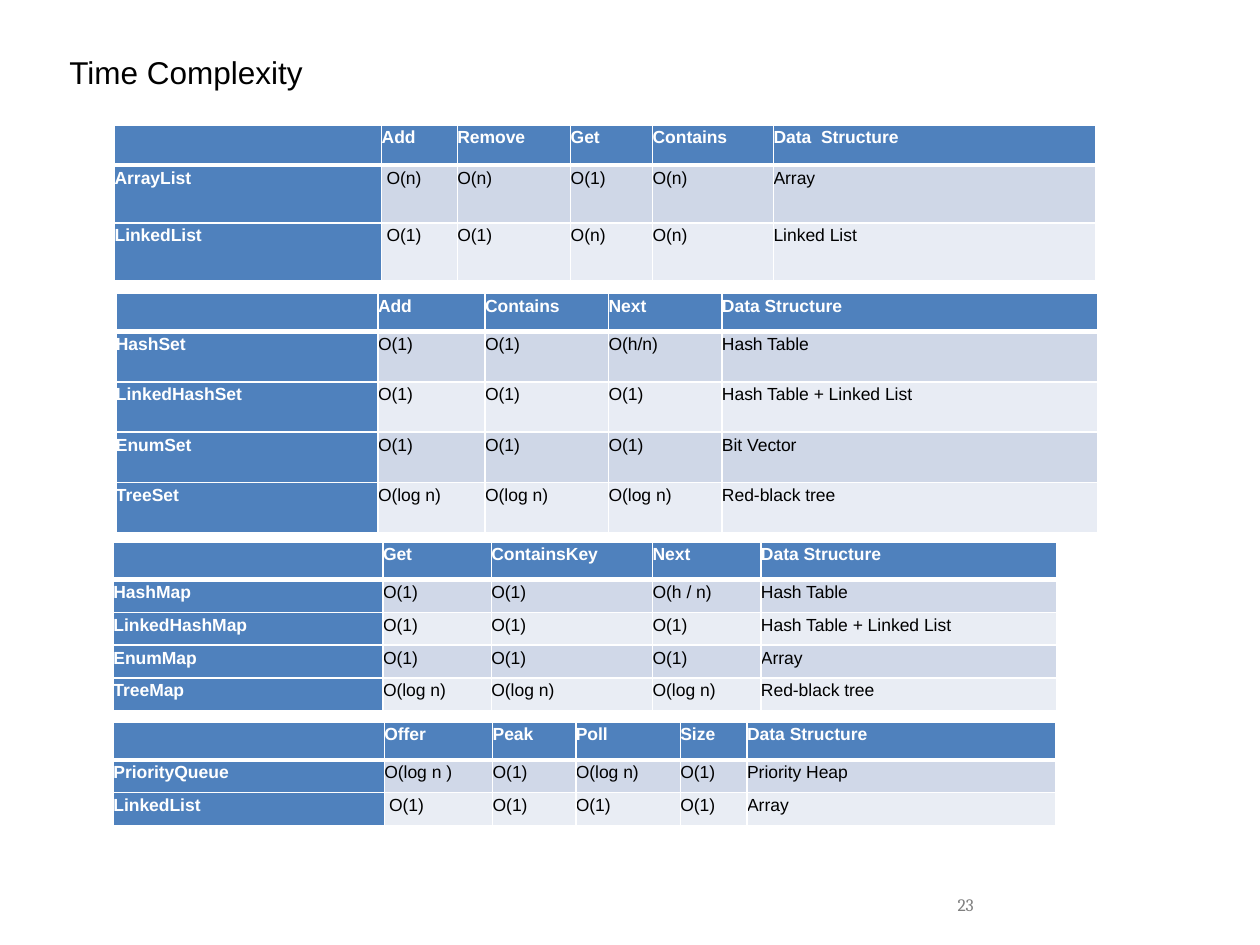
import pptx
import pptx.dml.color
import pptx.enum.text
import pptx.oxml
import pptx.oxml.ns
import pptx.util

Inches, Pt = pptx.util.Inches, pptx.util.Pt
ALIGN = pptx.enum.text.PP_ALIGN
MIDDLE = pptx.enum.text.MSO_ANCHOR.MIDDLE
BLUE, WHITE, BLACK, GRAY = "4F81BD", "FFFFFF", "000000", "808080"


def write(par, text, size, color, font="Arial", bold=False):
    run = par.add_run()
    run.text = text
    run.font.name, run.font.size, run.font.bold = font, Pt(size), bold
    run.font.color.rgb = pptx.dml.color.RGBColor.from_string(color)


def edge(cell, side, width):
    """Draw one white border; side is L, R, T or B."""
    cell._tc.get_or_add_tcPr().append(pptx.oxml.parse_xml(
        f'<a:ln{side} {pptx.oxml.ns.nsdecls("a")} w="{Pt(width)}">'
        f'<a:solidFill><a:srgbClr val="{WHITE}"/></a:solidFill></a:ln{side}>'))


# Each table: left, top, column widths, row heights, band fills,
# width of the border above the first body row, text by row
tables = [
    (0.91, 0.99, [2.12, 0.6, 0.9, 0.65, 0.96, 2.56], [0.32] + [0.46] * 2,
     ["CFD7E7", "E8ECF4"], 1, [
        ["", "Add", "Remove", "Get", "Contains", "Data  Structure"],
        ["ArrayList", " O(n)", "O(n)", "O(1)", "O(n)", "Array"],
        ["LinkedList", " O(1)", "O(1)", "O(n)", "O(n)", "Linked List"]]),
    (0.92, 2.33, [2.08, 0.85, 0.98, 0.9, 2.98], [0.29] + [0.4] * 4,
     ["CFD7E7", "E8ECF4"], 1, [
        ["", "Add", "Contains", "Next", "Data Structure"],
        ["HashSet", "O(1)", "O(1)", "O(h/n)", "Hash Table"],
        ["LinkedHashSet", "O(1)", "O(1)", "O(1)", "Hash Table + Linked List"],
        ["EnumSet", "O(1)", "O(1)", "O(1)", "Bit Vector"],
        ["TreeSet", "O(log n)", "O(log n)", "O(log n)", "Red-black tree"]]),
    (0.9, 4.3, [2.14, 0.86, 1.28, 0.86, 2.35], [0.28] + [0.26] * 4,
     ["D0D8E8", "E9EDF4"], 3, [
        ["", "Get", "ContainsKey", "Next", "Data Structure"],
        ["HashMap", "O(1)", "O(1)", "O(h / n)", "Hash Table"],
        ["LinkedHashMap", "O(1)", "O(1)", "O(1)", "Hash Table + Linked List"],
        ["EnumMap", "O(1)", "O(1)", "O(1)", "Array"],
        ["TreeMap", "O(log n)", "O(log n)", "O(log n)", "Red-black tree"]]),
    (0.9, 5.73, [2.15, 0.86, 0.66, 0.83, 0.53, 2.45], [0.29] + [0.26] * 2,
     ["D0D8E8", "E9EDF4"], 3, [
        ["", "Offer", "Peak", "Poll", "Size", "Data Structure"],
        ["PriorityQueue", "O(log n )", "O(1)", "O(log n)", "O(1)",
         "Priority Heap"],
        ["LinkedList", " O(1)", "O(1)", "O(1)", "O(1)", "Array"]]),
]

deck = pptx.Presentation()
deck.slide_width, deck.slide_height = Inches(10), Inches(7.5)
slide = deck.slides.add_slide(deck.slide_layouts[5])

# Title and page number
title = slide.shapes.title
title.left, title.top = Inches(0.5), Inches(0.38)
title.width, title.height = Inches(8.12), Inches(0.38)
page = slide.shapes.add_textbox(
    Inches(7.55), Inches(7.05), Inches(0.27), Inches(0.25))
for box, wrap in (title, True), (page, False):
    frame = box.text_frame
    frame.word_wrap, frame.vertical_anchor = wrap, MIDDLE
    frame.margin_left = frame.margin_right = Inches(0.05)
    frame.margin_top = frame.margin_bottom = Inches(0.05)
    frame.paragraphs[0].alignment = ALIGN.LEFT
write(title.text_frame.paragraphs[0], "Time Complexity", 18, BLACK)
write(page.text_frame.paragraphs[0], "23", 10, GRAY, "Cambria")

# Complexity tables
for left, top, widths, heights, bands, rule, rows in tables:
    grid = slide.shapes.add_table(
        len(rows), len(widths), Inches(left), Inches(top),
        Inches(sum(widths)), Inches(sum(heights))).table
    for col, width in zip(grid.columns, widths):
        col.width = Inches(width)
    for r, row in enumerate(rows):
        grid.rows[r].height = Inches(heights[r])
        for c, text in enumerate(row):
            cell = grid.cell(r, c)
            head = r == 0 or c == 0
            cell.margin_left = cell.margin_right = 0
            cell.margin_top = cell.margin_bottom = 0
            edge(cell, "L", 1)
            edge(cell, "R", 1)
            edge(cell, "T", rule if r == 1 else 1)
            edge(cell, "B", 3 if r == 0 else 1)
            cell.fill.solid()
            cell.fill.fore_color.rgb = pptx.dml.color.RGBColor.from_string(
                BLUE if head else bands[(r - 1) % 2])
            par = cell.text_frame.paragraphs[0]
            par.alignment, par.line_spacing = ALIGN.JUSTIFY, Pt(13)
            if text:
                write(par, text, 10, WHITE if head else BLACK, bold=head)

deck.save("out.pptx")
